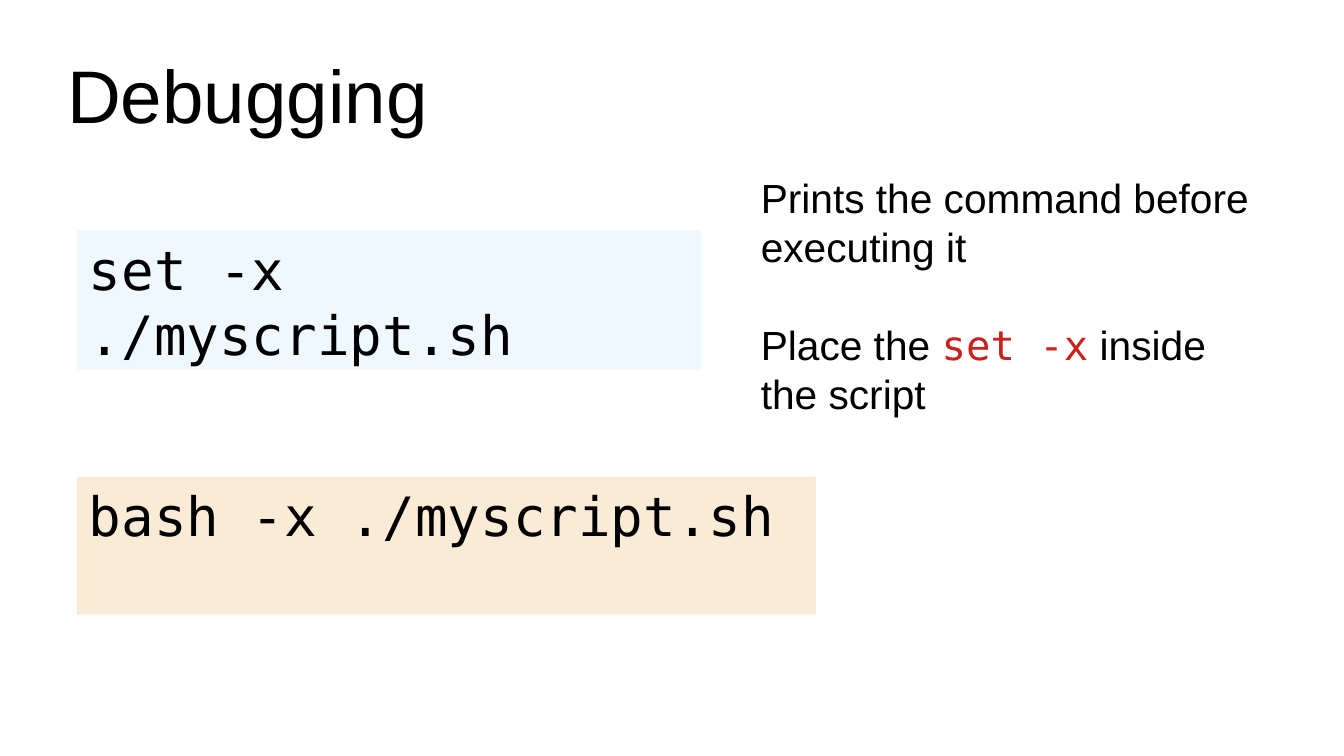
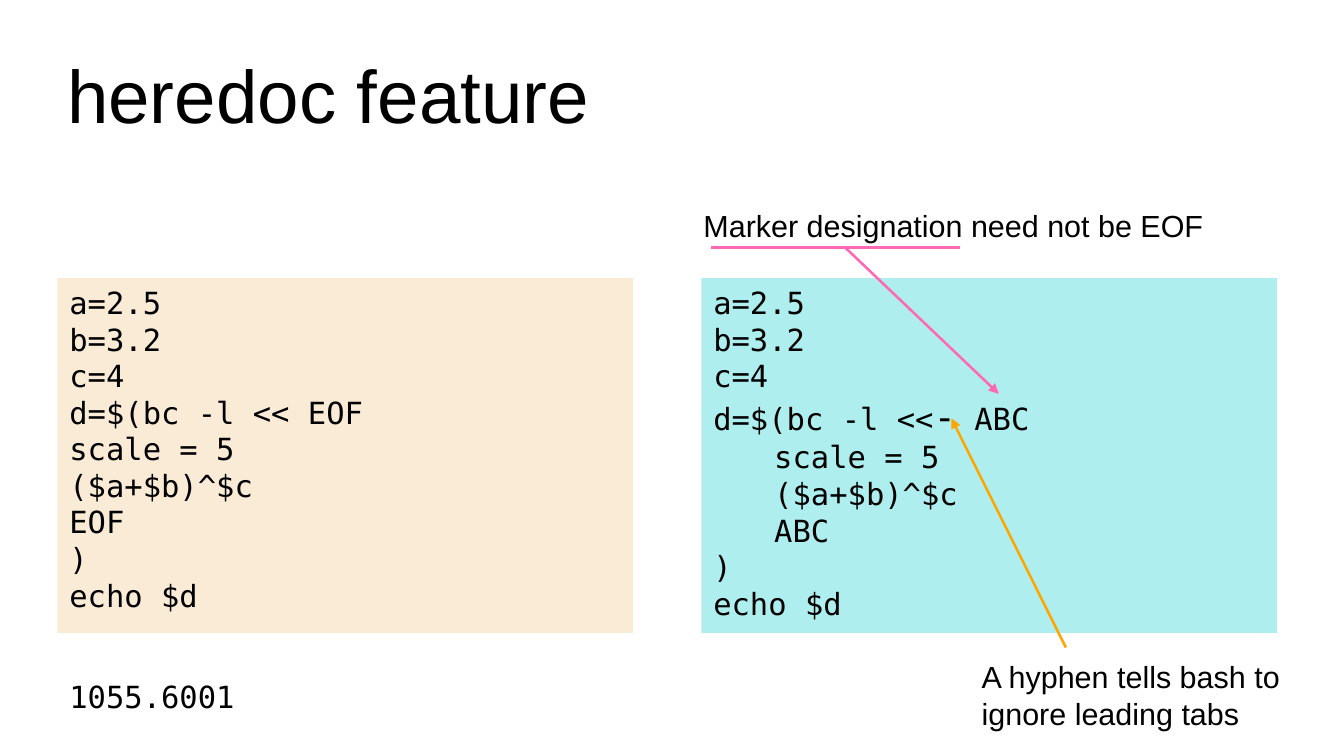
"""Build two slides on shell debugging and the heredoc feature."""
from dataclasses import dataclass

import pptx
import pptx.dml.color
import pptx.enum.shapes
import pptx.enum.text
import pptx.oxml.ns
import pptx.util
from lxml import etree

Inches = pptx.util.Inches
Pt = pptx.util.Pt


@dataclass(frozen=True)
class Theme:
    sans: str = "Arial"
    mono: str = "DejaVu Sans Mono"
    ink: str = "000000"
    red: str = "C9211E"
    blue: str = "F0F8FF"
    cream: str = "FAEBD7"
    turquoise: str = "AFEEEE"
    pink: str = "FF69B4"
    orange: str = "FFA500"
    title_size: int = 44
    command_size: int = 32
    note_size: int = 24
    small_size: int = 18
    hyphen_size: int = 22
    paragraph_gap: int = 29
    line_width: float = 1.5


THEME = Theme()
TITLE_AREA = (0.55, 0.25, 9.92, 1.04)
CODE_TOP, CODE_WIDTH, CODE_HEIGHT = 2.28, 4.72, 2.91

COMMANDS = [
    ((0.63, 1.89, 5.12, 1.14), THEME.blue, ["set -x", "./myscript.sh"]),
    ((0.63, 3.91, 6.06, 1.13), THEME.cream, ["bash -x ./myscript.sh"]),
]
DEBUG_NOTES = [
    "Prints the command before\nexecuting it",
    ["Place the ", ("set -x", {"font": THEME.mono, "color": THEME.red}), " inside the script"],
]

SETUP = ["a=2.5", "b=3.2", "c=4"]
FINISH = [")", "echo $d"]
FORMULA = ["scale = 5", "($a+$b)^$c"]
HEREDOCS = [
    (0.47, THEME.cream, SETUP + ["d=$(bc -l << EOF", *FORMULA, "EOF"] + FINISH),
    (5.75, THEME.turquoise,
     SETUP + [["d=$(bc -l <<", ("-", {"size": THEME.hyphen_size}), " ABC"]]
     + ["\t" + line for line in [*FORMULA, "ABC"]] + FINISH),
]
CAPTIONS = [
    ((0.47, 5.51, 4.65, 0.39), THEME.mono, ["1055.6001"]),
    ((7.95, 5.35, 2.68, 0.66), THEME.sans, ["A hyphen tells bash to", "ignore leading tabs"]),
    ((5.67, 1.65, 4.96, 0.38), THEME.sans, ["Marker designation need not be EOF"]),
]
POINTERS = [
    ((8.74, 5.31), (7.8, 3.43), THEME.orange, True),
    ((5.83, 2.03), (7.87, 2.03), THEME.pink, False),
    ((6.93, 2.03), (8.19, 3.23), THEME.pink, True),
]


def rgb(color):
    return pptx.dml.color.RGBColor.from_string(color)


def add_span(para, text, font, size, color=THEME.ink):
    for index, line in enumerate(text.split("\n")):
        if index:
            para.add_line_break()
        span = para.add_run()
        span.text = line
        span.font.name = font
        span.font.size = Pt(size)
        span.font.color.rgb = rgb(color)


def write(frame, paragraphs, font, size, gap=0):
    frame.word_wrap = True
    frame.auto_size = pptx.enum.text.MSO_AUTO_SIZE.NONE
    for index, parts in enumerate(paragraphs):
        para = frame.add_paragraph() if index else frame.paragraphs[0]
        para.alignment = pptx.enum.text.PP_ALIGN.LEFT
        para.space_before = Pt(gap if index else 0)
        for part in [parts] if isinstance(parts, str) else parts:
            text, changes = (part, {}) if isinstance(part, str) else part
            add_span(para, text, **{"font": font, "size": size, **changes})


def add_page(deck, title):
    page = deck.slides.add_slide(deck.slide_layouts.get_by_name("Title Only"))
    box = page.shapes.title
    box.left, box.top, box.width, box.height = map(Inches, TITLE_AREA)
    frame = box.text_frame
    frame.margin_left = frame.margin_top = frame.margin_right = frame.margin_bottom = 0
    frame.vertical_anchor = pptx.enum.text.MSO_ANCHOR.MIDDLE
    write(frame, [title], THEME.sans, THEME.title_size)
    return page


def add_text(page, area, paragraphs, font, size, gap=0):
    box = page.shapes.add_textbox(*map(Inches, area))
    write(box.text_frame, paragraphs, font, size, gap)


def add_code(page, area, fill, lines, size):
    box = page.shapes.add_shape(pptx.enum.shapes.MSO_SHAPE.RECTANGLE, *map(Inches, area))
    box.shadow.inherit = False
    box.fill.solid()
    box.fill.fore_color.rgb = rgb(fill)
    box.line.fill.background()
    box.text_frame.vertical_anchor = pptx.enum.text.MSO_ANCHOR.TOP
    write(box.text_frame, lines, THEME.mono, size)


def add_pointer(page, start, end, color, arrow):
    pointer = page.shapes.add_connector(
        pptx.enum.shapes.MSO_CONNECTOR.STRAIGHT, *map(Inches, start + end))
    pointer.line.color.rgb = rgb(color)
    pointer.line.width = Pt(THEME.line_width)
    qn = pptx.oxml.ns.qn
    if arrow:
        etree.SubElement(pointer.line._get_or_add_ln(), qn("a:tailEnd"), type="triangle")
    etree.SubElement(pointer._element.spPr, qn("a:effectLst"))


def build_debugging(deck):
    page = add_page(deck, "Debugging")
    for area, fill, lines in COMMANDS:
        add_code(page, area, fill, lines, THEME.command_size)
    add_text(page, (6.14, 1.37, 4.33, 1.97), DEBUG_NOTES,
             THEME.sans, THEME.note_size, THEME.paragraph_gap)


def build_heredoc(deck):
    page = add_page(deck, "heredoc feature")
    for left, fill, lines in HEREDOCS:
        add_code(page, (left, CODE_TOP, CODE_WIDTH, CODE_HEIGHT), fill, lines, THEME.small_size)
    for area, font, lines in CAPTIONS:
        add_text(page, area, lines, font, THEME.small_size)
    for pointer in POINTERS:
        add_pointer(page, *pointer)


def main():
    deck = pptx.Presentation()
    deck.slide_width, deck.slide_height = Inches(11.02), Inches(6.2)
    build_debugging(deck)
    build_heredoc(deck)
    deck.save("out.pptx")


if __name__ == "__main__":
    main()
